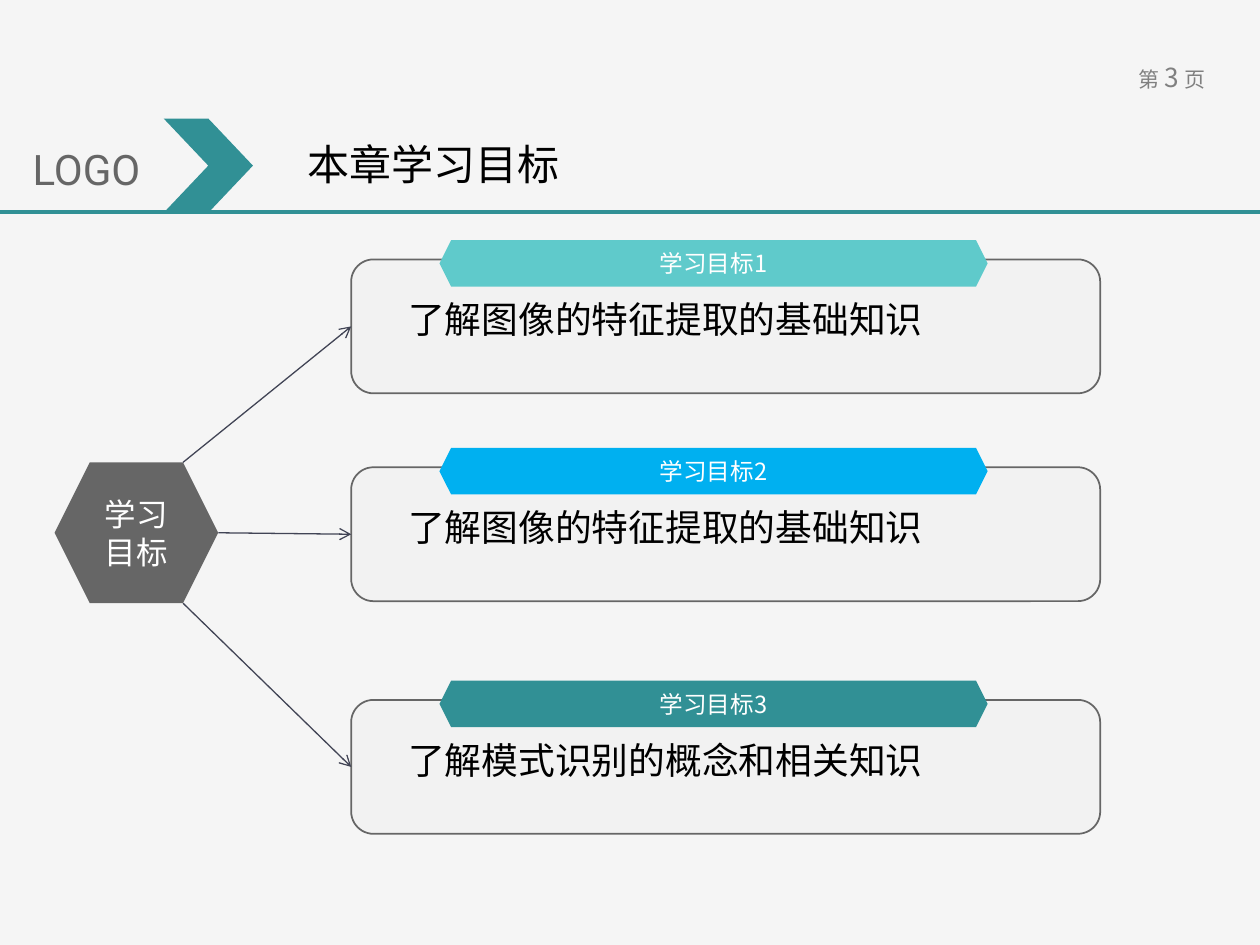
"""Build the slide that lists the learning goals of the chapter."""
from lxml.etree import SubElement
from pptx import Presentation
from pptx.dml.color import RGBColor
from pptx.enum.shapes import MSO_CONNECTOR, MSO_SHAPE as Shape
from pptx.enum.text import MSO_ANCHOR, MSO_AUTO_SIZE, PP_ALIGN as Align
from pptx.oxml.ns import qn
from pptx.util import Cm, Pt

COLORS = {
    "background": "F5F5F5", "panel": "F2F2F2", "gray": "666666",
    "page": "808080", "arrow": "414455", "teal": "319095",
    "aqua": "5FCACB", "blue": "00B0F0", "white": "FFFFFF", "black": "000000",
}
CJK = "Noto Sans CJK SC"


def add_figure(kind, place, fill):
    figure = page.shapes.add_shape(kind, *map(Cm, place))
    figure.shadow.inherit = False
    figure.fill.solid()
    figure.fill.fore_color.rgb = RGBColor.from_string(COLORS[fill])
    figure.line.fill.background()
    return figure


def write(box, text, sizes, font, color, align=Align.LEFT, wrap=True, tight=True):
    frame = box.text_frame
    frame.word_wrap = wrap
    if tight:
        frame.margin_left = frame.margin_right = Cm(0.2)
        frame.margin_top = frame.margin_bottom = Cm(0.1)
    para = frame.paragraphs[0]
    para.alignment = align
    pieces = [text] if len(sizes) == 1 else text
    for piece, size in zip(pieces, sizes):
        span = para.add_run()
        span.text = piece
        span.font.size = Pt(size)
        span.font.color.rgb = RGBColor.from_string(COLORS[color])
        span.font.name = font
        SubElement(span.font._element, qn("a:ea"), typeface=CJK)
    return para


deck = Presentation()
deck.slide_width, deck.slide_height = Cm(25.4), Cm(19.05)
page = deck.slides.add_slide(deck.slide_layouts[6])
page.background.fill.solid()
page.background.fill.fore_color.rgb = RGBColor.from_string(COLORS["background"])

number = page.shapes.add_textbox(Cm(22.45), Cm(1.12), Cm(2.36), Cm(0.89))
write(number, "第 3 页", [12, 13.5, 15, 13.5, 12], CJK, "page",
      Align.CENTER, wrap=False, tight=False)

title = page.shapes.add_textbox(Cm(5.11), Cm(2.16), Cm(8.51), Cm(1.63))
para = write(title, "本章学习目标", [24], "Roboto", "black", Align.JUSTIFY, tight=False)
para.line_spacing = 1.5
para._p.get_or_add_pPr().set("indent", str(Cm(0.84)))

add_figure(Shape.CHEVRON, (3.3, 2.39, 1.8, 1.9), "teal")
mark = page.shapes.add_textbox(Cm(0.41), Cm(2.77), Cm(3.18), Cm(1.3))
write(mark, "LOGO", [24], "Roboto", "gray", wrap=False, tight=False)

hub = add_figure(Shape.HEXAGON, (1.1, 9.32, 3.3, 2.84), "gray")
hub.text_frame.vertical_anchor = MSO_ANCHOR.MIDDLE
write(hub, "学习目标", [18], CJK, "white", Align.CENTER)

goals = [
    (5.23, "aqua", "了解图像的特征提取的基础知识", (3.69, 9.32)),
    (9.42, "blue", "了解图像的特征提取的基础知识", (4.4, 10.74)),
    (14.11, "teal", "了解模式识别的概念和相关知识", (3.69, 12.16)),
]
lines = [((0, 4.27), (25.4, 4.27), "teal", 2.25)]
for index, (top, color, text, start) in enumerate(goals, 1):
    panel = add_figure(Shape.ROUNDED_RECTANGLE, (7.08, top, 15.1, 2.7), "panel")
    panel.line.color.rgb = RGBColor.from_string(COLORS["gray"])
    panel.line.width = Pt(1)
    banner = add_figure(Shape.HEXAGON, (8.86, top - 0.39, 11.05, 0.94), color)
    banner.text_frame.vertical_anchor = MSO_ANCHOR.MIDDLE
    write(banner, f"学习目标{index}", [13.5], CJK, "white", Align.CENTER)
    detail = page.shapes.add_textbox(Cm(8.03), Cm(top + 0.66), Cm(13.55), Cm(1.09))
    write(detail, text, [21], "Calibri", "black")
    detail.text_frame.auto_size = MSO_AUTO_SIZE.SHAPE_TO_FIT_TEXT
    lines.append((start, (7.08, top + 1.35), "arrow", 0.75))

for start, end, color, width in lines:
    line = page.shapes.add_connector(MSO_CONNECTOR.STRAIGHT, *map(Cm, start + end))
    line.line.color.rgb = RGBColor.from_string(COLORS[color])
    line.line.width = Pt(width)
    if color == "arrow":
        SubElement(line.line._get_or_add_ln(), qn("a:tailEnd"), type="arrow")
    SubElement(line._element.spPr, qn("a:effectLst"))

deck.save("out.pptx")
